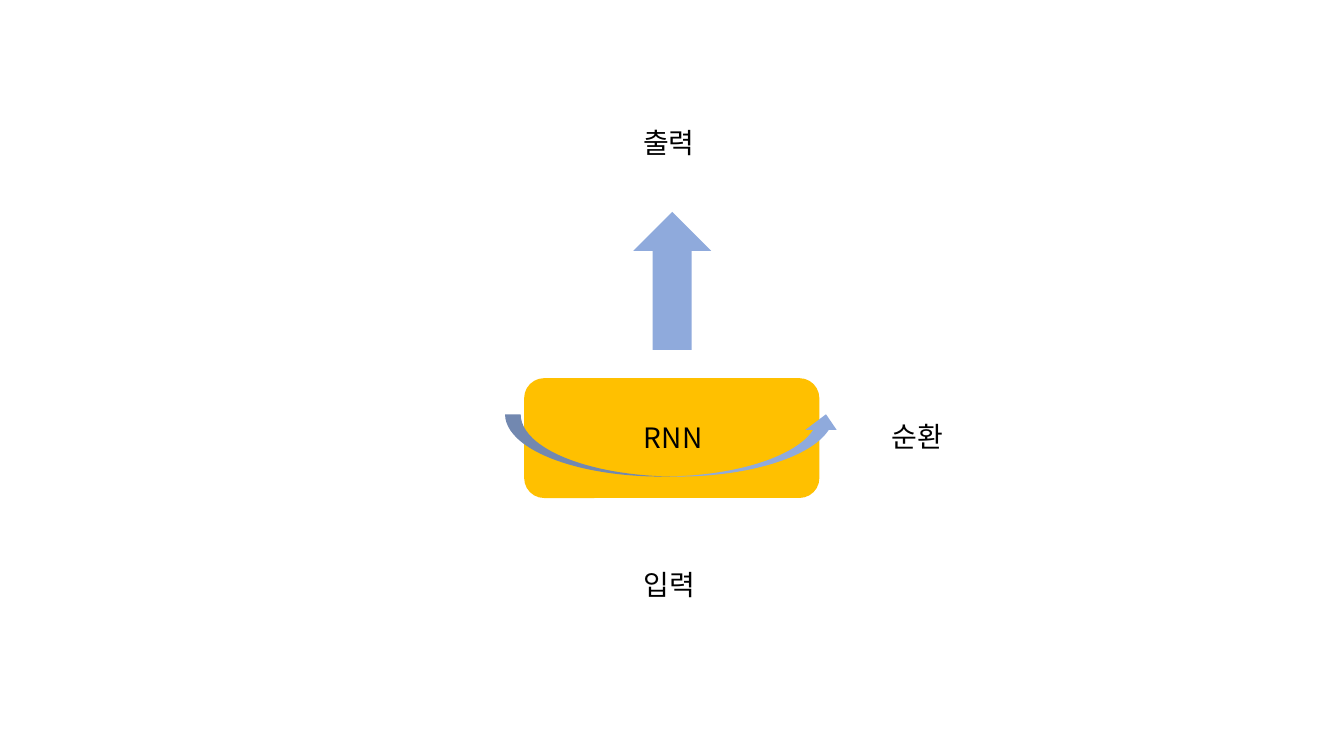
from lxml.etree import SubElement
from pptx import Presentation
from pptx.dml.color import RGBColor
from pptx.enum.shapes import MSO_SHAPE as Preset
from pptx.oxml.ns import qn
from pptx.util import Cm, Pt

AMBER = RGBColor(0xFF, 0xC0, 0x00)
BLUE = RGBColor(0x8F, 0xAA, 0xDC)
BLACK = RGBColor(0x00, 0x00, 0x00)
FONT = "Noto Sans CJK KR"


def add_block(page, preset, box, color):
    """Add a borderless preset shape; box is left, top, width, height in cm."""
    block = page.shapes.add_shape(preset, *map(Cm, box))
    block.shadow.inherit = False
    block.fill.solid()
    block.fill.fore_color.rgb = color
    block.line.fill.background()


def add_label(page, text, box):
    """Add a black label, with the font set for Latin and Korean text."""
    label = page.shapes.add_textbox(*map(Cm, box))
    label.text_frame.word_wrap = True
    label.text_frame.text = text
    span = label.text_frame.paragraphs[0].runs[0]
    span.font.name = FONT
    span.font.size = Pt(20)
    span.font.color.rgb = BLACK
    SubElement(span.font._element, qn("a:ea"), typeface=FONT)


def add_recurrent_cell(page, left, top):
    """Draw the RNN cell with its input, output and loop from a corner in cm."""
    def place(x, y, width, height):
        return left + x, top + y, width, height

    add_block(page, Preset.ROUNDED_RECTANGLE, place(0.48, 6.48, 7.44, 3.02), AMBER)
    add_block(page, Preset.UP_ARROW, place(3.23, 2.29, 1.96, 3.48), BLUE)
    add_block(page, Preset.CURVED_UP_ARROW, place(0, 7.39, 8.48, 1.57), BLUE)
    labels = [("입력", 3.25, 11.13), ("출력", 3.23, 0),
              ("순환", 9.5, 7.39), ("RNN", 3.25, 7.42)]
    for text, x, y in labels:
        add_label(page, text, place(x, y, 2.16, 1.11))


deck = Presentation()
deck.slide_width, deck.slide_height = Cm(33.87), Cm(19.05)
page = deck.slides.add_slide(deck.slide_layouts[6])
add_recurrent_cell(page, 12.73, 3.05)
deck.save("out.pptx")
